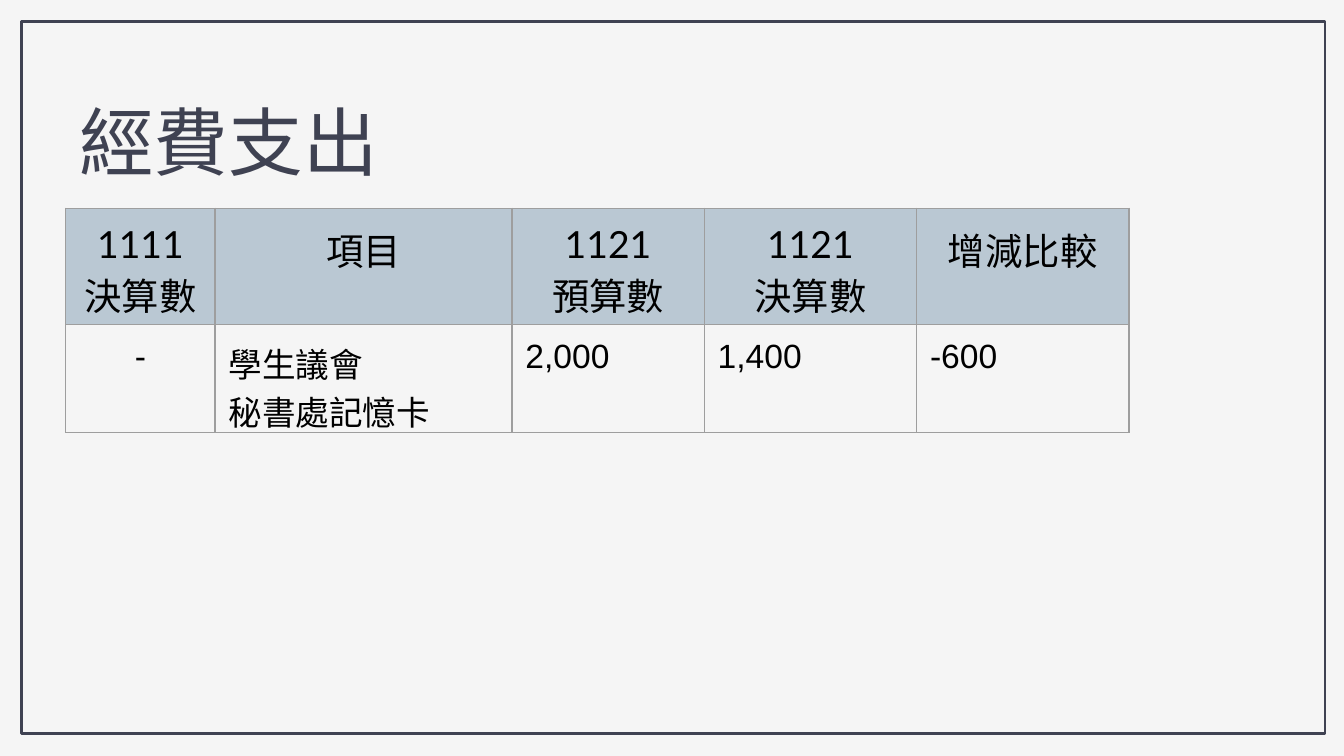
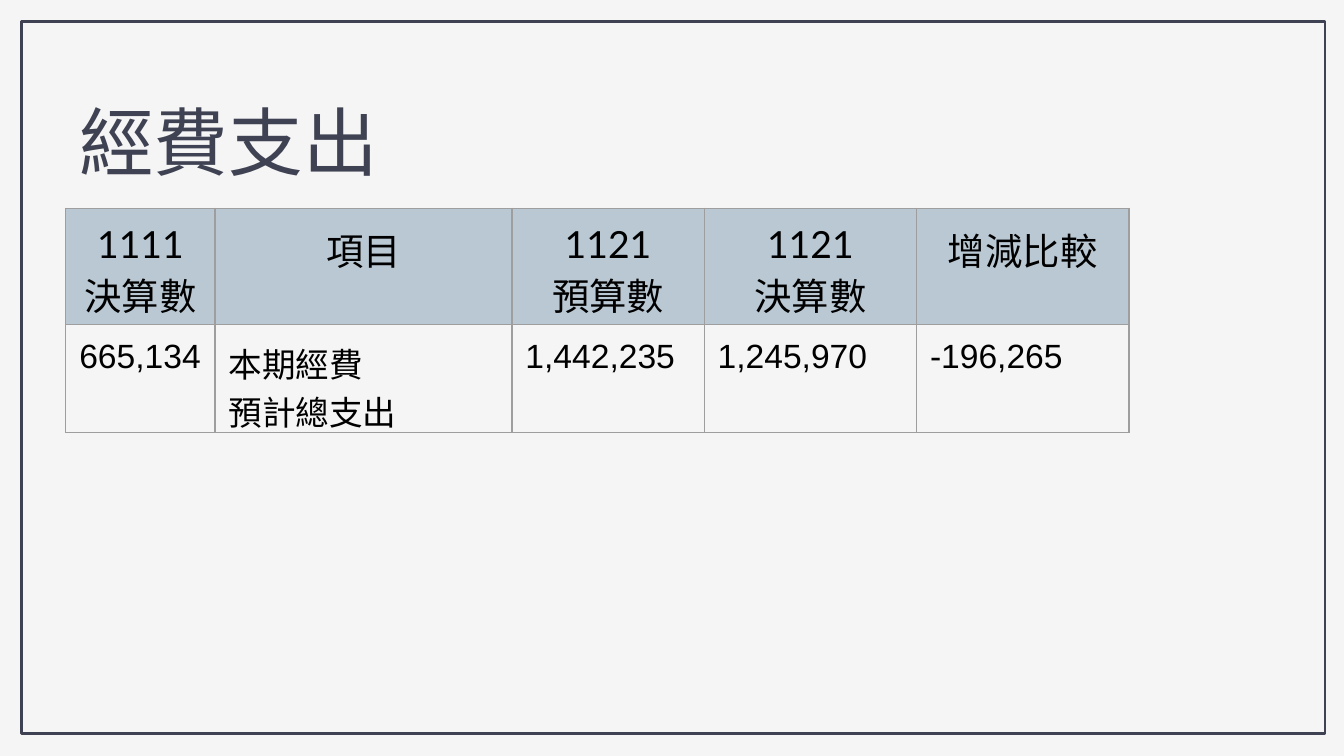
from lxml import etree
from pptx import Presentation
from pptx.dml.color import RGBColor
from pptx.enum.shapes import MSO_SHAPE
from pptx.enum.text import MSO_ANCHOR, MSO_AUTO_SIZE, PP_ALIGN
from pptx.oxml.ns import qn
from pptx.util import Inches, Pt

RECTANGLE = MSO_SHAPE.RECTANGLE
LEFT, CENTER = PP_ALIGN.LEFT, PP_ALIGN.CENTER
TOP = MSO_ANCHOR.TOP

TITLE = "經費支出"
HEADINGS = ["1111\n決算數", "項目", "1121\n預算數", "1121\n決算數", "增減比較"]
EXPENSES = [
    ["-", "學生議會\n秘書處記憶卡", "2,000", "1,400", "-600"],
    ["665,134", "本期經費\n預計總支出", "1,442,235", "1,245,970", "-196,265"],
]

THEME = {
    "paper": "F5F5F5",
    "ink": "3F4252",
    "heading_fill": "BAC8D3",
    "grid": "9E9E9E",
    "title": {"face": "Lato", "east_asian": "Lato", "size": 40, "color": "3F4252"},
    "heading": {"face": "Lato", "size": 20, "color": "000000"},
    "body": {"face": "Arial", "size": 18, "color": "000000"},
}

SLIDE_WIDTH = Inches(10)
SLIDE_HEIGHT = SLIDE_WIDTH * 9 // 16
BORDER = (0.16, 0.16, 9.7, 5.3)
TITLE_BOX = (0.49, 0.61, 3.18, 0.88)
TABLE_LEFT, TABLE_TOP = 0.49, 1.55
COLUMN_WIDTHS = [1.11, 2.21, 1.43, 1.58, 1.58]
ROW_HEIGHT = 0.42
INSET = Inches(0.1)
MARGINS = ("margin_left", "margin_top", "margin_right", "margin_bottom")


def rgb(code):
    return RGBColor.from_string(code)


def write(text_frame, text, style, align):
    """Fill a frame with one paragraph per line, in one style."""
    text_frame.text = text
    for paragraph in text_frame.paragraphs:
        paragraph.alignment = align
        for run in paragraph.runs:
            run.font.name = style["face"]
            run.font.size = Pt(style["size"])
            run.font.color.rgb = rgb(style["color"])
            if "east_asian" in style:
                east_asian = etree.SubElement(run.font._element, qn("a:ea"))
                east_asian.set("typeface", style["east_asian"])


def set_insets(holder):
    for margin in MARGINS:
        setattr(holder, margin, INSET)


def draw_cell_borders(cell):
    properties = cell._tc.get_or_add_tcPr()
    for index, side in enumerate(("lnL", "lnR", "lnT", "lnB")):
        line = etree.Element(qn(f"a:{side}"), w=str(Pt(0.75)))
        fill = etree.SubElement(line, qn("a:solidFill"))
        etree.SubElement(fill, qn("a:srgbClr"), val=THEME["grid"])
        properties.insert(index, line)


def add_border(slide):
    border = slide.shapes.add_shape(RECTANGLE, *map(Inches, BORDER))
    border.shadow.inherit = False
    border.fill.background()
    border.line.color.rgb = rgb(THEME["ink"])
    border.line.width = Pt(1.5)


def add_title(slide):
    title = slide.shapes.title
    title.left, title.top, title.width, title.height = map(Inches, TITLE_BOX)
    frame = title.text_frame
    set_insets(frame)
    frame.word_wrap = True
    frame.auto_size = MSO_AUTO_SIZE.SHAPE_TO_FIT_TEXT
    frame.vertical_anchor = TOP
    write(frame, TITLE, THEME["title"], LEFT)


def add_expense_table(slide, expense):
    rows = [HEADINGS, expense]
    table = slide.shapes.add_table(
        len(rows), len(HEADINGS), Inches(TABLE_LEFT), Inches(TABLE_TOP),
        Inches(sum(COLUMN_WIDTHS)), Inches(ROW_HEIGHT * len(rows))).table
    table.first_row = table.horz_banding = False
    for column, width in zip(table.columns, COLUMN_WIDTHS):
        column.width = Inches(width)
    for row_index, texts in enumerate(rows):
        is_heading = row_index == 0
        style = THEME["heading" if is_heading else "body"]
        for column_index, text in enumerate(texts):
            cell = table.cell(row_index, column_index)
            set_insets(cell)
            cell.vertical_anchor = TOP
            if is_heading:
                cell.fill.solid()
                cell.fill.fore_color.rgb = rgb(THEME["heading_fill"])
            else:
                cell.fill.background()
            draw_cell_borders(cell)
            centered = is_heading or text == "-"
            write(cell.text_frame, text, style, CENTER if centered else LEFT)


def main():
    deck = Presentation()
    deck.slide_width, deck.slide_height = SLIDE_WIDTH, SLIDE_HEIGHT
    paper = deck.slide_master.background.fill
    paper.solid()
    paper.fore_color.rgb = rgb(THEME["paper"])
    title_only = deck.slide_layouts.get_by_name("Title Only")
    for expense in EXPENSES:
        slide = deck.slides.add_slide(title_only)
        add_border(slide)
        add_expense_table(slide, expense)
        add_title(slide)
    deck.save("out.pptx")


if __name__ == "__main__":
    main()
